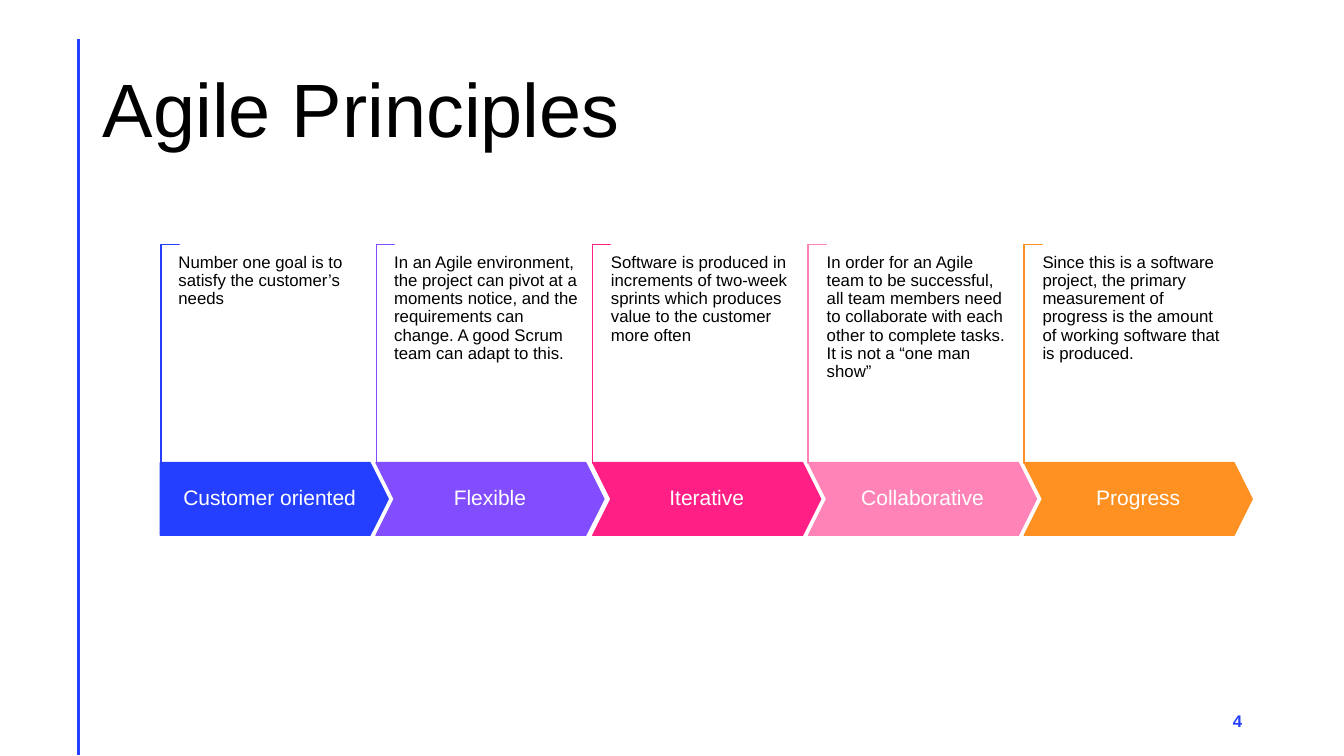
from lxml import etree
from pptx import Presentation
from pptx.dml.color import RGBColor
from pptx.enum.shapes import MSO_CONNECTOR, MSO_SHAPE
from pptx.enum.text import MSO_ANCHOR, MSO_AUTO_SIZE, PP_ALIGN
from pptx.oxml.ns import qn
from pptx.util import Pt

PX = 9144  # 100 px to the inch
STRAIGHT = MSO_CONNECTOR.STRAIGHT
CORNER, PLATE, ARROW = MSO_SHAPE.CORNER, MSO_SHAPE.PENTAGON, MSO_SHAPE.CHEVRON
TOP, MIDDLE = MSO_ANCHOR.TOP, MSO_ANCHOR.MIDDLE
LEFT, CENTER, RIGHT = PP_ALIGN.LEFT, PP_ALIGN.CENTER, PP_ALIGN.RIGHT
FIXED = MSO_AUTO_SIZE.NONE

BLACK = RGBColor(0x00, 0x00, 0x00)
WHITE = RGBColor(0xFF, 0xFF, 0xFF)
BLUE = RGBColor(0x24, 0x3F, 0xFF)
VIOLET = RGBColor(0x81, 0x4D, 0xFF)
PINK = RGBColor(0xFF, 0x1F, 0x85)
ROSE = RGBColor(0xFF, 0x83, 0xB6)
ORANGE = RGBColor(0xFF, 0x90, 0x22)

STEPS = [
    ("Customer oriented", BLUE,
     "Number one goal is to satisfy the customer’s needs"),
    ("Flexible", VIOLET,
     "In an Agile environment, the project can pivot at a moments notice, "
     "and the requirements can change. A good Scrum team can adapt to this."),
    ("Iterative", PINK,
     "Software is produced in increments of two-week sprints which "
     "produces value to the customer more often"),
    ("Collaborative", ROSE,
     "In order for an Agile team to be successful, all team members need to "
     "collaborate with each other to complete tasks. "
     "It is not a “one man show”"),
    ("Progress", ORANGE,
     "Since this is a software project, the primary measurement of progress "
     "is the amount of working software that is produced."),
]


def px(*sizes):
    return [round(size) * PX for size in sizes]


def write(shape, text, size, color, align=LEFT, anchor=MIDDLE,
          inset=(10, 5), bold=False, spacing=0.9):
    frame = shape.text_frame
    frame.text = text
    side, edge = px(*inset)
    para = frame.paragraphs[0]
    font = para.runs[0].font
    font.color.rgb = color
    formats = [
        (frame, {"word_wrap": True, "auto_size": FIXED,
                 "vertical_anchor": anchor,
                 "margin_left": side, "margin_right": side,
                 "margin_top": edge, "margin_bottom": edge}),
        (para, {"alignment": align, "line_spacing": spacing}),
        (font, {"name": "Arial", "size": Pt(size), "bold": bold}),
    ]
    for target, values in formats:
        for name, value in values.items():
            setattr(target, name, value)


def add_form(slide, kind, box, fill, line, adjust):
    shape = slide.shapes.add_shape(kind, *px(*box))
    shape.shadow.inherit = False
    shape.fill.solid()
    shape.fill.fore_color.rgb = fill
    shape.line.color.rgb = line
    shape.line.width = Pt(1)
    for i in range(len(shape.adjustments)):
        shape.adjustments[i] = adjust
    return shape


def add_frame(slide, box):
    # Side rule
    x, y, w, h = box
    rule = slide.shapes.add_connector(
        STRAIGHT, *px(x + 78, y + 39, x + 78, y + h - 1))
    rule.line.color.rgb = BLUE
    rule.line.width = Pt(2)
    etree.SubElement(rule.element.spPr, qn("a:effectLst"))

    # Title
    title = slide.shapes.title
    title.left, title.top, title.width, title.height = px(
        x + 92, y + 40, 1150, 145)
    write(title, "Agile Principles", 54, BLACK)

    # Page number
    page = slide.shapes.add_textbox(*px(x + w - 391, y + h - 55, 300, 40))
    write(page, "4", 12, BLUE, align=RIGHT, bold=True, spacing=1.0)


def add_step(slide, box, kind, label, color, body):
    x, y, w, h = box
    band, tip = 72, 18
    tall = h - band

    # Bracket: a flat corner turned upright about its centre
    shift = (tall - tip) / 2
    bracket = add_form(slide, CORNER, (x - shift, y + shift, tall, tip),
                       WHITE, color, 0.01)
    bracket.rotation = 90

    # Arrow with its label
    arrow = add_form(slide, kind, (x, y + tall, w, band), color, color, 0.25)
    write(arrow, label, 15, WHITE, align=CENTER, inset=(10, 21))

    # Description
    note = slide.shapes.add_textbox(*px(x + tip, y + 10, 183, 155))
    write(note, body, 12, BLACK, anchor=TOP, inset=(0, 0))


def add_steps(slide, box):
    x, y, w, h = box
    wide = 226
    pitch = (w - wide) / (len(STEPS) - 1)
    for i, (label, color, body) in enumerate(STEPS):
        kind = ARROW if i else PLATE
        add_step(slide, (x + i * pitch, y, wide, h), kind, label, color, body)


def main():
    deck = Presentation()
    deck.slide_width, deck.slide_height = px(1333, 750)
    slide = deck.slides.add_slide(deck.slide_layouts[5])
    add_frame(slide, (0, 0, 1333, 750))
    add_steps(slide, (159, 242, 1083, 289))
    deck.save("out.pptx")


if __name__ == "__main__":
    main()
